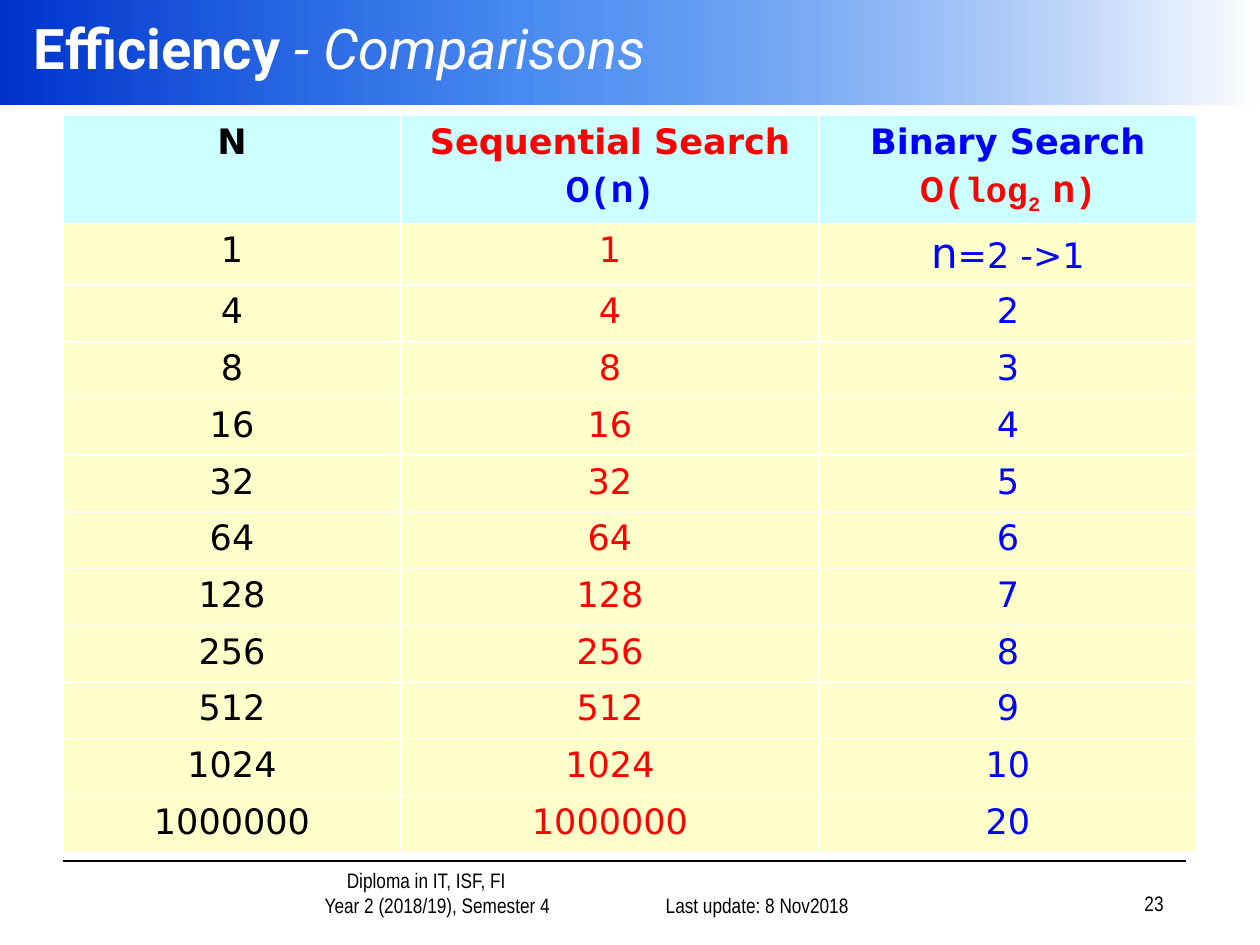
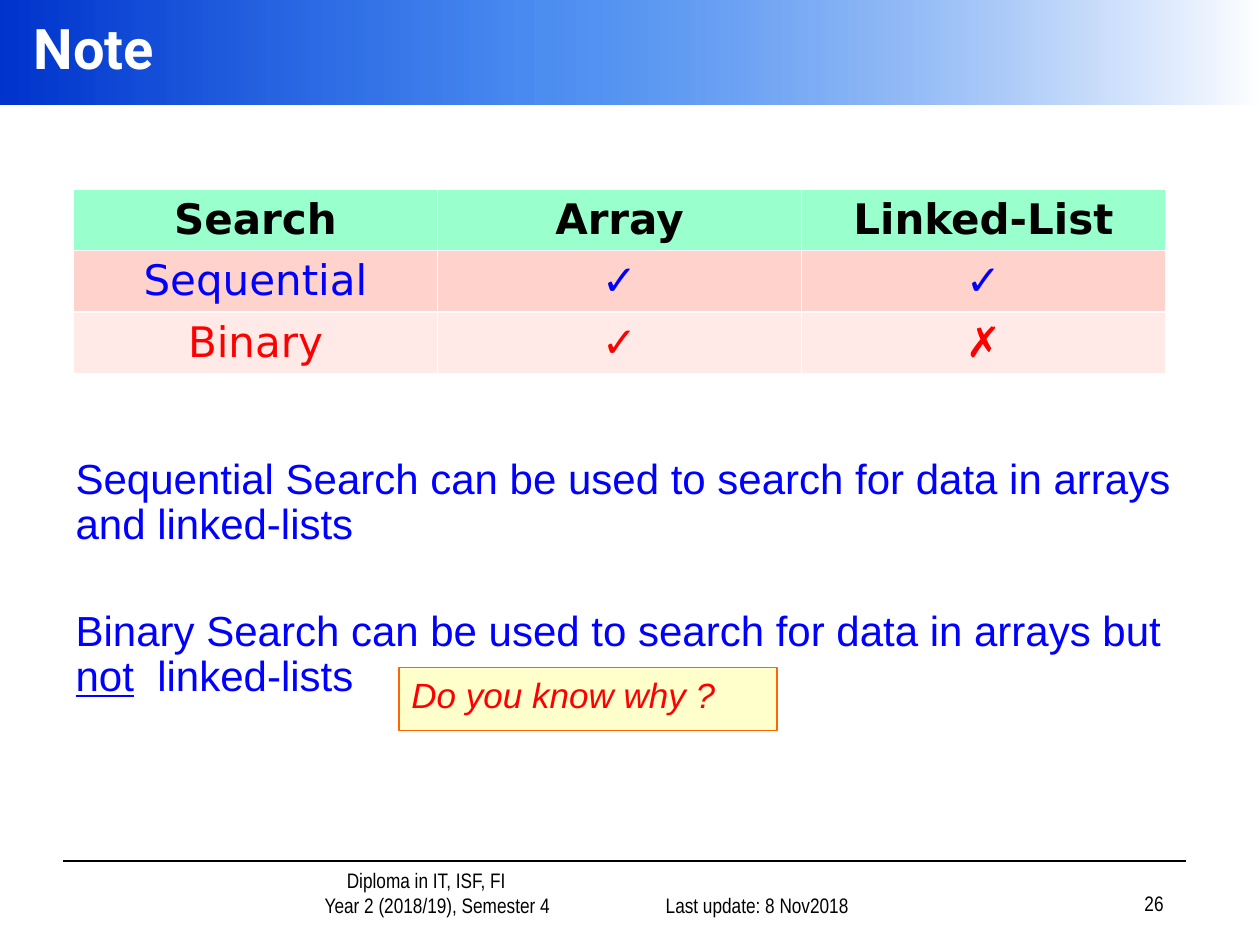
from pptx import Presentation
from pptx.dml.color import RGBColor
from pptx.enum.shapes import MSO_CONNECTOR, MSO_SHAPE
from pptx.enum.text import MSO_ANCHOR as ANCHOR, MSO_AUTO_SIZE as AUTO, PP_ALIGN as ALIGN
from pptx.oxml import parse_xml
from pptx.oxml.ns import nsdecls
from pptx.util import Inches, Pt
from lxml.etree import SubElement

BLACK, WHITE, RED, BLUE, CREAM = "000000", "FFFFFF", "FF0000", "0000FF", "FFFFCC"
HEAD, SANS, BODY, FOOT, CODE = "Roboto", "DejaVu Sans", "Arial", "Arial Narrow", "Courier New"
rgb = RGBColor.from_string

prs = Presentation()
prs.slide_width, prs.slide_height = Inches(10), Inches(7.5)
unit = prs.slide_width / 120


def grid(*cells):
    return [round(c * unit) for c in cells]


def style(r, font, size, color, bold=False, italic=False):
    r.font.name, r.font.size = font, Pt(size)
    r.font.bold, r.font.italic = bold, italic
    r.font.color.rgb = rgb(color)


BAND_FILL = f"""<a:gradFill {nsdecls('a')} rotWithShape="1"><a:gsLst>
<a:gs pos="0"><a:srgbClr val="0033CC"/></a:gs>
<a:gs pos="43000"><a:srgbClr val="005EEB"><a:alpha val="70000"/></a:srgbClr></a:gs>
<a:gs pos="100000"><a:srgbClr val="FFFFFF"/></a:gs>
</a:gsLst><a:lin ang="0" scaled="0"/></a:gradFill>"""

sizes = ["1", "4", "8", "16", "32", "64", "128", "256", "512", "1024", "1000000"]
binary_steps = ["n"] + [str(n) for n in range(2, 11)] + ["20"]

pages = [
    dict(layout=5, number="23", title=["Efficiency ", "- Comparisons"],
         at=(6, 11), cols=[32.2, 39.8, 36], heights=[9.6] + [5.4] * 11, size=20,
         rows=[["N", "Sequential Search", "Binary Search"], *zip(sizes, sizes, binary_steps)],
         inks=[[BLACK, RED, BLUE]] * 12, fills=["CCFFFF"] + [CREAM] * 11),
    dict(layout=1, number="26", title=["Note"],
         at=(7, 18), cols=[104 / 3] * 3, heights=[4.9] * 3, size=24,
         rows=[["Search", "Array", "Linked-List"], ["Sequential", "✓", "✓"], ["Binary", "✓", "✗"]],
         inks=[[BLACK] * 3, [BLUE] * 3, [RED] * 3], fills=["99FFCC", "FFD3CC", "FFEAE7"]),
]

tables = []
for page in pages:
    s = prs.slides.add_slide(prs.slide_layouts[page["layout"]])

    band = s.shapes.add_shape(MSO_SHAPE.RECTANGLE, *grid(0, 0, 120, 10))
    band.shadow.inherit = False
    band.line.fill.background()
    band.fill.background()
    no_fill = band._element.spPr.find("{*}noFill")
    band._element.spPr.replace(no_fill, parse_xml(BAND_FILL))

    rule = s.shapes.add_connector(MSO_CONNECTOR.STRAIGHT, *grid(6, 82, 113, 82))
    rule.line.color.rgb, rule.line.width = rgb(BLACK), Pt(1)
    SubElement(rule._element.spPr, "{http://schemas.openxmlformats.org/drawingml/2006/main}effectLst")

    footers = [
        ((20.2, 83, 34.8, 5), "Diploma in IT, ISF, FI\nYear 2 (2018/19), Semester 4", ALIGN.CENTER, (6, 8.1)),
        ((57, 83, 25, 5), "Last update: 8 Nov2018", ALIGN.RIGHT, (0,)),
        ((87, 82.8, 25, 5), page["number"], ALIGN.RIGHT, (0,)),
    ]
    for place, text, align, indents in footers:
        tf = s.shapes.add_textbox(*grid(*place)).text_frame
        tf.word_wrap, tf.vertical_anchor = True, ANCHOR.BOTTOM
        tf.text = text
        for p, indent in zip(tf.paragraphs, grid(*indents)):
            p.alignment = align
            p._p.get_or_add_pPr().set("marL", str(indent))
            style(p.runs[0], FOOT, 12, BLACK)

    title = s.shapes.title
    title.left, title.top, title.width, title.height = grid(2, 0, 118, 9)
    s.shapes._spTree.append(title._element)
    tf = title.text_frame
    tf.vertical_anchor, tf.auto_size = ANCHOR.MIDDLE, AUTO.NONE
    p = tf.paragraphs[0]
    p.alignment = ALIGN.LEFT
    for i, text in enumerate(page["title"]):
        r = p.add_run()
        r.text = text
        style(r, HEAD, 32, WHITE, bold=i == 0, italic=i > 0)

    place = grid(*page["at"], sum(page["cols"]), sum(page["heights"]))
    table = s.shapes.add_table(len(page["rows"]), 3, *place).table
    table.horz_banding = False
    for column, width in zip(table.columns, grid(*page["cols"])):
        column.width = width
    for row, height in zip(table.rows, grid(*page["heights"])):
        row.height = height
    for i, texts in enumerate(page["rows"]):
        for j, text in enumerate(texts):
            cell = table.cell(i, j)
            cell.fill.solid()
            cell.fill.fore_color.rgb = rgb(page["fills"][i])
            cell.text = text
            p = cell.text_frame.paragraphs[0]
            p.alignment = ALIGN.CENTER
            style(p.runs[0], SANS, page["size"], page["inks"][i][j], bold=i == 0)
    tables.append(table)

search_costs = [
    (1, BLUE, [("O", HEAD, 20), ("(", CODE, 20), ("n", "Calibri", 24), (")", CODE, 20)]),
    (2, RED, [("O", HEAD, 20), ("(log", CODE, 20), ("2 ", CODE, 20), ("n", "Calibri", 24), (")", CODE, 20)]),
]
for column, color, parts in search_costs:
    p = tables[0].cell(0, column).text_frame.add_paragraph()
    p.alignment = ALIGN.CENTER
    for text, font, size in parts:
        r = p.add_run()
        r.text = text
        style(r, font, size, color, bold=True)
        if text == "2 ":
            r.font._element.set("baseline", "-25000")

p = tables[0].cell(1, 2).text_frame.paragraphs[0]
p.runs[0].font.size = Pt(24)
r = p.add_run()
r.text = "=2 ->1"
style(r, SANS, 20, BLUE)

body = s.placeholders[1]
body.left, body.top, body.width, body.height = grid(6, 43, 108, 29)
tf = body.text_frame
tf.auto_size = AUTO.NONE
notes = [
    (5, ["Sequential Search can be used to search for data in arrays and linked-lists"]),
    (35, ["Binary Search can be used to search for data in arrays but ", "not", "  linked-lists"]),
]
for i, (gap, parts) in enumerate(notes):
    p = tf.add_paragraph() if i else tf.paragraphs[0]
    p.line_spacing, p.space_before = 0.9, Pt(gap)
    pPr = p._p.get_or_add_pPr()
    pPr.set("marL", "0")
    pPr.set("indent", "0")
    pPr.append(parse_xml(f"<a:buNone {nsdecls('a')}/>"))
    for text in parts:
        r = p.add_run()
        r.text = text
        style(r, BODY, 24, BLUE)
        r.font.underline = text == "not"

question = s.shapes.add_shape(MSO_SHAPE.RECTANGLE, *grid(38, 63.6, 36, 6))
question.shadow.inherit = False
question.fill.solid()
question.fill.fore_color.rgb = rgb(CREAM)
question.line.color.rgb, question.line.width = rgb("FF6600"), Pt(0.75)
tf = question.text_frame
tf.text = "Do you know why ?"
tf.word_wrap, tf.vertical_anchor = True, ANCHOR.TOP
p = tf.paragraphs[0]
p.alignment = ALIGN.LEFT
style(p.runs[0], BODY, 20, RED, italic=True)

prs.save("out.pptx")
